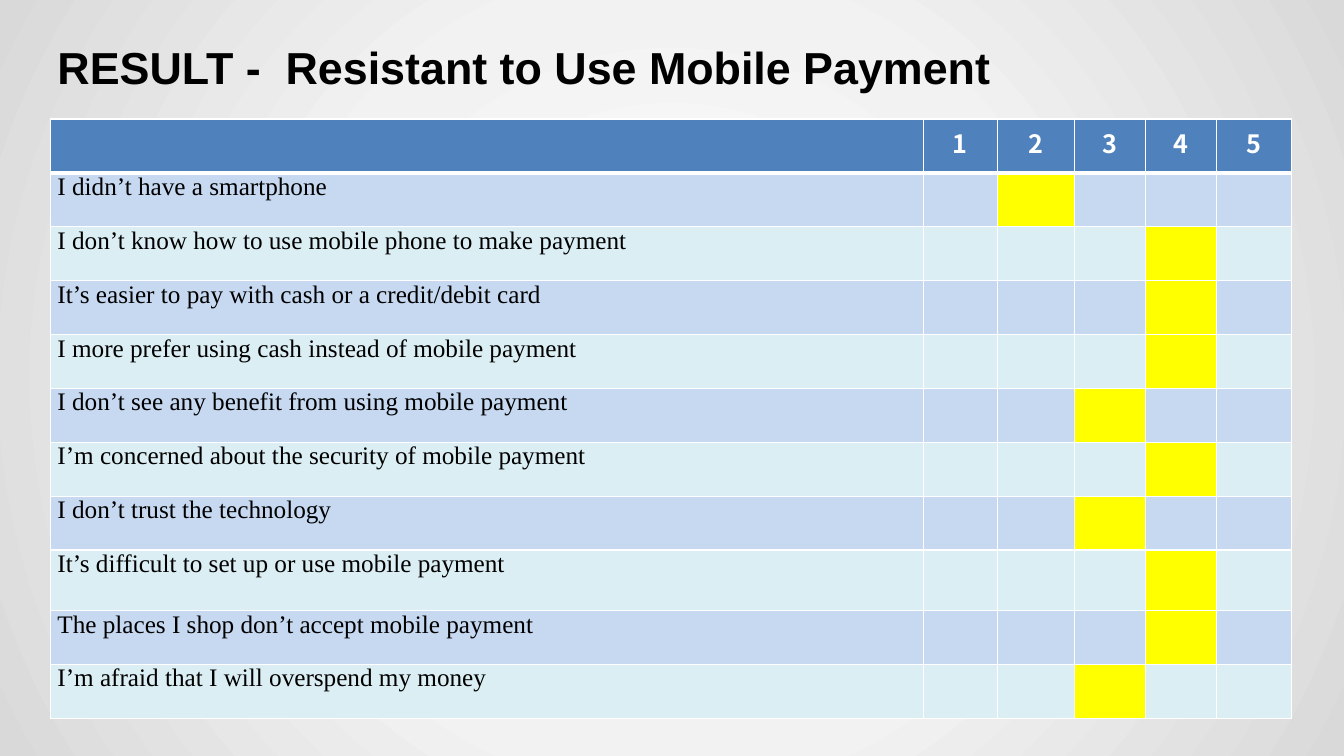
from dataclasses import dataclass

from lxml.etree import SubElement
from pptx import Presentation
from pptx.dml.color import RGBColor
from pptx.enum.shapes import MSO_SHAPE as Preset
from pptx.enum.text import MSO_ANCHOR as Anchor, PP_ALIGN as Align
from pptx.oxml import parse_xml
from pptx.oxml.ns import qn
from pptx.slide import Slide
from pptx.table import _Cell as Cell
from pptx.text.text import TextFrame
from pptx.util import Inches, Pt

BLACK = RGBColor(0x00, 0x00, 0x00)
WHITE = RGBColor(0xFF, 0xFF, 0xFF)
HEADER_BLUE = RGBColor(0x4F, 0x81, 0xBD)
BAND_BLUE = RGBColor(0xC6, 0xD9, 0xF1)
BAND_TEAL = RGBColor(0xDB, 0xEE, 0xF4)
YELLOW = RGBColor(0xFF, 0xFF, 0x00)

BACKDROP_STOPS = [(0, "FFFFFF"), (50, "F2F2F2"), (100, "D9D9D9")]
DRAWING_NAMESPACE = "http://schemas.openxmlformats.org/drawingml/2006/main"
WIDTH, HEIGHT = 13.33, 7.5
COLUMN_WIDTHS = [8.66, 0.73, 0.77, 0.7, 0.71, 0.74]
ROW_HEIGHT = 0.535


@dataclass
class Statement:
    text: str
    score: int
    height: float = ROW_HEIGHT


STATEMENTS = [
    Statement("I didn’t have a smartphone", 2),
    Statement("I don’t know how to use mobile phone to make payment", 4),
    Statement("It’s easier to pay with cash or a credit/debit card", 4),
    Statement("I more prefer using cash instead of mobile payment", 4),
    Statement("I don’t see any benefit from using mobile payment", 3),
    Statement("I’m concerned about the security of mobile payment", 4),
    Statement("I don’t trust the technology", 3),
    Statement("It’s difficult to set up or use mobile payment", 4, height=0.6),
    Statement("The places I shop don’t accept mobile payment", 4),
    Statement("I’m afraid that I will overspend my money", 3),
]


def write_text(frame: TextFrame, text: str, *, font: str, size: float = 18,
               color: RGBColor = BLACK, bold: bool = False,
               align: Align = Align.LEFT) -> None:
    paragraph = frame.paragraphs[0]
    paragraph.alignment = align
    run = paragraph.add_run()
    run.text = text
    run.font.name = font
    run.font.size = Pt(size)
    run.font.bold = bold
    run.font.color.rgb = color


def style_cell(cell: Cell, fill: RGBColor, top: float = 1, bottom: float = 1) -> None:
    """Give a cell its white borders (widths in points) and its fill."""
    properties = cell._tc.get_or_add_tcPr()
    for side, width in (("L", 1), ("R", 1), ("T", top), ("B", bottom)):
        line = SubElement(properties, qn(f"a:ln{side}"), w=str(Pt(width)))
        line_fill = SubElement(line, qn("a:solidFill"))
        SubElement(line_fill, qn("a:srgbClr"), val=str(WHITE))
    cell.fill.solid()
    cell.fill.fore_color.rgb = fill


def add_backdrop(slide: Slide) -> None:
    shape = slide.shapes.add_shape(Preset.RECTANGLE, 0, 0, Inches(WIDTH), Inches(HEIGHT))
    shape.shadow.inherit = False
    shape.line.fill.background()
    stops = "".join(f'<a:gs pos="{position * 1000}"><a:srgbClr val="{color}"/></a:gs>'
                    for position, color in BACKDROP_STOPS)
    gradient = parse_xml(
        f'<a:gradFill xmlns:a="{DRAWING_NAMESPACE}" rotWithShape="1">'
        f'<a:gsLst>{stops}</a:gsLst><a:path path="circle">'
        '<a:fillToRect l="50000" t="50000" r="50000" b="50000"/></a:path></a:gradFill>')
    shape._element.spPr.find(qn("a:prstGeom")).addnext(gradient)


def add_title(slide: Slide, text: str) -> None:
    box = slide.shapes.add_textbox(Inches(0.57), Inches(0.24), Inches(11.72), Inches(0.84))
    frame = box.text_frame
    frame.word_wrap = True
    frame.vertical_anchor = Anchor.MIDDLE
    frame.margin_left = frame.margin_right = frame.margin_top = frame.margin_bottom = 0
    write_text(frame, text, font="Arial", size=32, bold=True)


def add_score_table(slide: Slide) -> None:
    heights = [ROW_HEIGHT] + [statement.height for statement in STATEMENTS]
    table = slide.shapes.add_table(
        len(heights), len(COLUMN_WIDTHS), Inches(0.5), Inches(1.18),
        Inches(sum(COLUMN_WIDTHS)), Inches(sum(heights))).table
    for column, width in zip(table.columns, COLUMN_WIDTHS):
        column.width = Inches(width)
    for row, height in zip(table.rows, heights):
        row.height = Inches(height)

    # Header with the scores 1 to 5
    for score in range(len(COLUMN_WIDTHS)):
        cell = table.cell(0, score)
        style_cell(cell, HEADER_BLUE, bottom=3)
        if score:
            write_text(cell.text_frame, str(score), font="Noto Sans CJK KR",
                       color=WHITE, bold=True, align=Align.CENTER)

    # One banded row per statement, its score in yellow
    for row, statement in enumerate(STATEMENTS, start=1):
        band = BAND_BLUE if row % 2 else BAND_TEAL
        for score in range(len(COLUMN_WIDTHS)):
            style_cell(table.cell(row, score),
                       YELLOW if score == statement.score else band,
                       top=3 if row == 1 else 1)
        label = table.cell(row, 0)
        label.margin_left = label.margin_right = Inches(0.07)
        label.margin_top = label.margin_bottom = 0
        write_text(label.text_frame, statement.text, font="Times New Roman")


def main() -> None:
    presentation = Presentation()
    presentation.slide_width = Inches(WIDTH)
    presentation.slide_height = Inches(HEIGHT)
    slide = presentation.slides.add_slide(presentation.slide_layouts[6])
    add_backdrop(slide)
    add_title(slide, "RESULT -  Resistant to Use Mobile Payment")
    add_score_table(slide)
    presentation.save("out.pptx")


if __name__ == "__main__":
    main()
